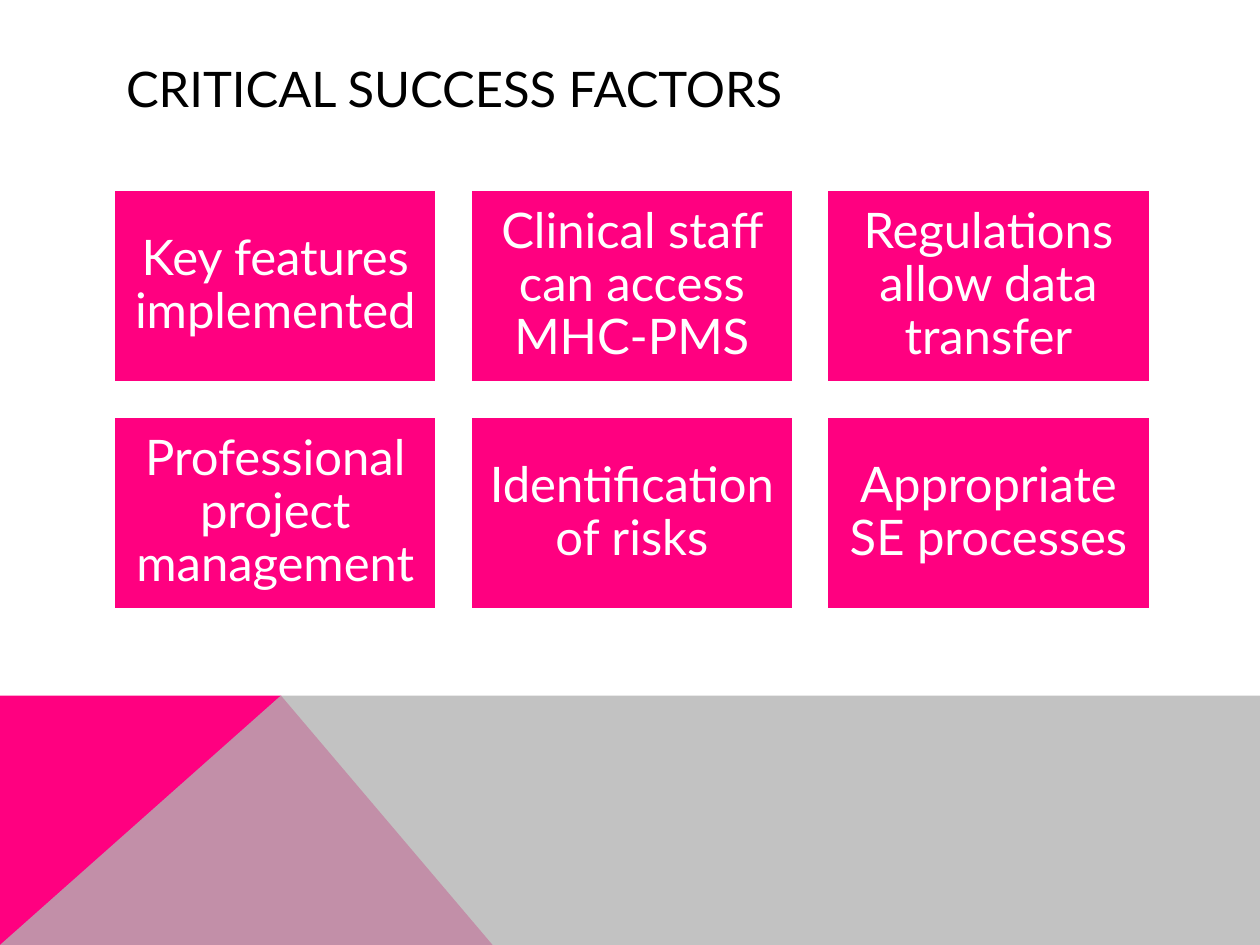
from dataclasses import dataclass

from lxml.etree import SubElement
from pptx import Presentation
from pptx.dml.color import RGBColor
from pptx.enum.shapes import MSO_SHAPE as Shape
from pptx.enum.text import MSO_ANCHOR as Anchor, MSO_AUTO_SIZE as Fit, PP_ALIGN as Align
from pptx.oxml.ns import qn
from pptx.slide import Slide
from pptx.util import Inches, Pt

PINK = RGBColor(0xFF, 0x00, 0x80)
GRAY = RGBColor(0xB3, 0xB3, 0xB3)
WHITE = RGBColor(0xFF, 0xFF, 0xFF)
BLACK = RGBColor(0x00, 0x00, 0x00)
FONT = "Lato"
SIZE = Pt(28)

LEFT, TOP = 0.9, 1.5
CARD_W, CARD_H = 2.57, 1.54
GAP = 0.26
COLS = 3
FACTORS = [
    "Key features implemented",
    "Clinical staff can access MHC-PMS",
    "Regulations allow data transfer",
    "Professional project management",
    "Identification of risks",
    "Appropriate SE processes",
]


@dataclass
class Band:
    points: list[tuple[float, float]]
    color: RGBColor
    alpha: int = 100


BANDS = [
    Band([(0, 7.5), (0, 5.52), (2.23, 5.52), (3.91, 7.5)], PINK),
    Band([(0, 7.5), (2.23, 5.52), (10, 5.52), (10, 7.5)], GRAY, 80),
]


def add_band(slide: Slide, band: Band) -> None:
    start, *rest = [(Inches(x), Inches(y)) for x, y in band.points]
    pen = slide.shapes.build_freeform(*start)
    pen.add_line_segments(rest)
    shape = pen.convert_to_shape()
    shape.shadow.inherit = False
    shape.line.fill.background()
    shape.fill.solid()
    shape.fill.fore_color.rgb = band.color
    if band.alpha < 100:
        color = shape.fill._xPr.find(f".//{qn('a:srgbClr')}")
        SubElement(color, qn("a:alpha"), val=str(band.alpha * 1000))


def set_title(slide: Slide, text: str) -> None:
    title = slide.shapes.title
    title.left, title.top = Inches(LEFT), Inches(0.4)
    title.width, title.height = Inches(8.22), Inches(0.6)
    frame = title.text_frame
    frame.text = text
    frame.auto_size = Fit.NONE
    frame.vertical_anchor = Anchor.MIDDLE
    para = frame.paragraphs[0]
    para.alignment = Align.LEFT
    para.font.name, para.font.size = FONT, SIZE
    para.font.color.rgb = BLACK


def add_card(slide: Slide, index: int, text: str) -> None:
    row, col = divmod(index, COLS)
    card = slide.shapes.add_shape(
        Shape.RECTANGLE,
        Inches(LEFT + col * (CARD_W + GAP)),
        Inches(TOP + row * (CARD_H + GAP)),
        Inches(CARD_W),
        Inches(CARD_H),
    )
    card.shadow.inherit = False
    card.fill.solid()
    card.fill.fore_color.rgb = PINK
    card.line.color.rgb = WHITE
    card.line.width = Pt(2)
    frame = card.text_frame
    frame.text = text
    frame.word_wrap = True
    frame.vertical_anchor = Anchor.MIDDLE
    frame.margin_left = frame.margin_right = Inches(0.12)
    frame.margin_top = frame.margin_bottom = Inches(0.12)
    para = frame.paragraphs[0]
    para.alignment = Align.CENTER
    para.line_spacing = 0.9
    para.font.name, para.font.size = FONT, SIZE
    para.font.color.rgb = WHITE


def main() -> None:
    deck = Presentation()
    deck.slide_width, deck.slide_height = Inches(10), Inches(7.5)
    slide = deck.slides.add_slide(deck.slide_layouts[5])
    for band in BANDS:
        add_band(slide, band)
    set_title(slide, "CRITICAL SUCCESS FACTORS")
    for index, text in enumerate(FACTORS):
        add_card(slide, index, text)
    deck.save("out.pptx")


if __name__ == "__main__":
    main()
